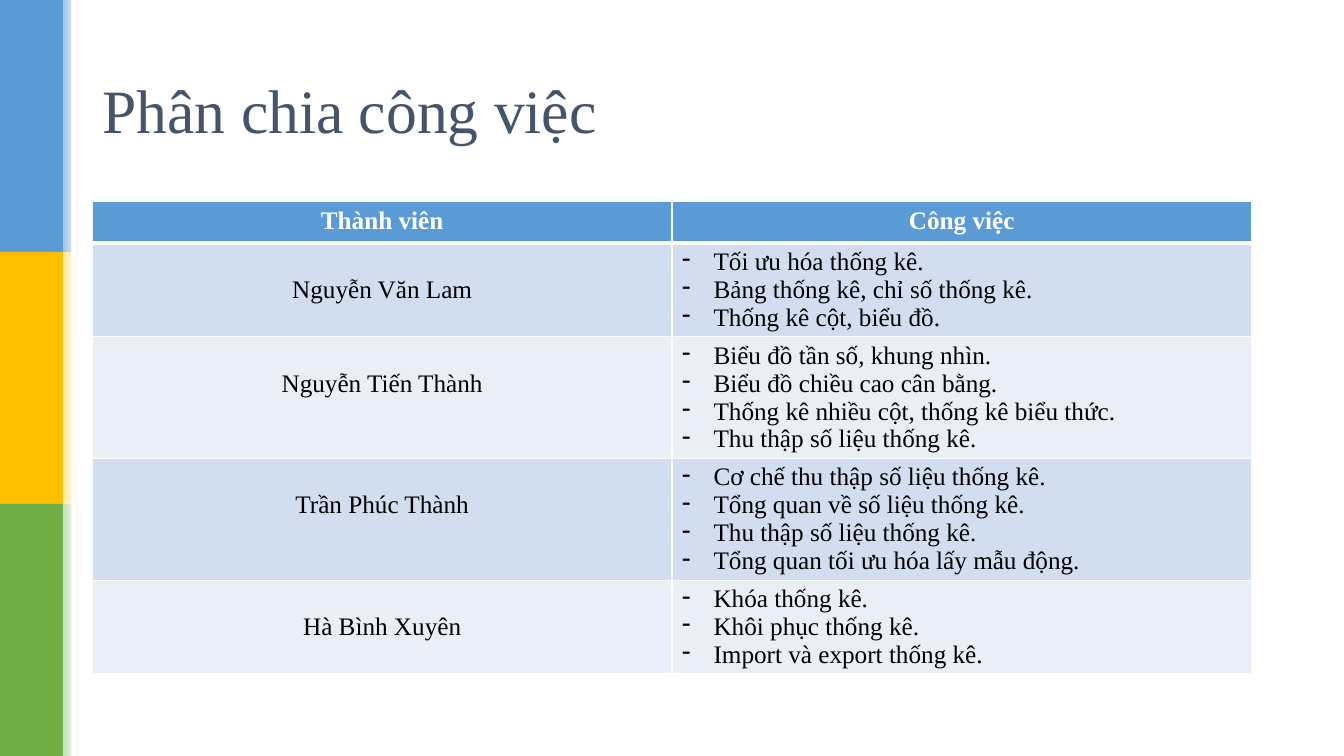
from lxml.etree import SubElement
from pptx import Presentation
from pptx.dml.color import RGBColor
from pptx.enum.shapes import MSO_SHAPE
from pptx.enum.text import MSO_ANCHOR, PP_ALIGN
from pptx.oxml.ns import qn
from pptx.util import Pt

TITLE = "Phân chia công việc"
HEADERS = ["Thành viên", "Công việc"]
MEMBERS = [
    ("Nguyễn Văn Lam", [
        "Tối ưu hóa thống kê.",
        "Bảng thống kê, chỉ số thống kê.",
        "Thống kê cột, biểu đồ.",
    ]),
    ("Nguyễn Tiến Thành", [
        "Biểu đồ tần số, khung nhìn.",
        "Biểu đồ chiều cao cân bằng.",
        "Thống kê nhiều cột, thống kê biểu thức.",
        "Thu thập số liệu thống kê.",
    ]),
    ("Trần Phúc Thành", [
        "Cơ chế thu thập số liệu thống kê.",
        "Tổng quan về số liệu thống kê.",
        "Thu thập số liệu thống kê.",
        "Tổng quan tối ưu hóa lấy mẫu động.",
    ]),
    ("Hà Bình Xuyên", [
        "Khóa thống kê.",
        "Khôi phục thống kê.",
        "Import và export thống kê.",
    ]),
]
COLORS = {
    "white": "FFFFFF", "black": "000000", "title": "44546A",
    "header": "5B9BD5", "odd_row": "D2DEEF", "even_row": "EAEFF7",
}
BANDS = [("5B9BD5", "9DC3E6"), ("FFC000", "FFE699"), ("70AD47", "C5E0B4")]

FONT = "Times New Roman"
TEXT_SIZE = 18
LINE_HEIGHT = 19.9
CELL_MARGIN = 3.6
HEADER_HEIGHT = 29.5
SLIDE_WIDTH, SLIDE_HEIGHT = 960, 540
LEFT, CONTENT_WIDTH = 66, 828
BAND_WIDTH, FADE_WIDTH = 45, 11.5
BAND_HEIGHT = SLIDE_HEIGHT / len(BANDS)


def rgb(value):
    return RGBColor.from_string(value)


def add_bar(slide, left, top, width, height, color, fade=False):
    """Add a borderless rectangle, solid or fading to white on the right."""
    bar = slide.shapes.add_shape(
        MSO_SHAPE.RECTANGLE, Pt(left), Pt(top), Pt(width), Pt(height))
    bar.shadow.inherit = False
    bar.line.fill.background()
    if fade:
        bar.fill.gradient()
        bar.fill.gradient_angle = 0
        for stop, stop_color in zip(bar.fill.gradient_stops, (color, COLORS["white"])):
            stop.color.rgb = rgb(stop_color)
    else:
        bar.fill.solid()
        bar.fill.fore_color.rgb = rgb(color)


def format_text(paragraph, size, color, bold=False, alignment=PP_ALIGN.LEFT):
    paragraph.alignment = alignment
    paragraph.font.name = FONT
    paragraph.font.size = Pt(size)
    paragraph.font.bold = bold
    paragraph.font.color.rgb = rgb(color)


def add_dash(paragraph):
    """Give the paragraph a hanging dash bullet."""
    properties = paragraph._p.get_or_add_pPr()
    properties.set("marL", str(Pt(22.5)))
    properties.set("indent", str(-Pt(22.5)))
    SubElement(properties, qn("a:buFontTx"))
    SubElement(properties, qn("a:buChar"), char="-")


def style_cell(cell, fill, top_border=1, bottom_border=1):
    properties = cell._tc.get_or_add_tcPr()
    for side, width in zip("LRTB", (1, 1, top_border, bottom_border)):
        line = SubElement(properties, qn(f"a:ln{side}"), w=str(Pt(width)))
        SubElement(SubElement(line, qn("a:solidFill")), qn("a:srgbClr"), val=COLORS["white"])
    cell.fill.solid()
    cell.fill.fore_color.rgb = rgb(fill)


def add_duty_table(slide):
    row_heights = [HEADER_HEIGHT] + [
        len(duties) * LINE_HEIGHT + 2 * CELL_MARGIN for _, duties in MEMBERS]
    table = slide.shapes.add_table(
        len(row_heights), len(HEADERS), Pt(LEFT), Pt(144),
        Pt(CONTENT_WIDTH), Pt(sum(row_heights))).table
    for row, height in zip(table.rows, row_heights):
        row.height = Pt(height)

    for column, header in enumerate(HEADERS):
        cell = table.cell(0, column)
        cell.text = header
        style_cell(cell, COLORS["header"], bottom_border=3)
        format_text(cell.text_frame.paragraphs[0], TEXT_SIZE, COLORS["white"],
                    True, PP_ALIGN.CENTER)

    for row, (name, duties) in enumerate(MEMBERS, start=1):
        name_cell, duty_cell = table.cell(row, 0), table.cell(row, 1)
        for cell in (name_cell, duty_cell):
            style_cell(cell, COLORS["odd_row" if row % 2 else "even_row"],
                       top_border=3 if row == 1 else 1)
        name_cell.text = name
        name_cell.margin_top = Pt(CELL_MARGIN + LINE_HEIGHT)
        format_text(name_cell.text_frame.paragraphs[0], TEXT_SIZE, COLORS["black"],
                    alignment=PP_ALIGN.CENTER)
        duty_cell.text = "\n".join(duties)
        for paragraph in duty_cell.text_frame.paragraphs:
            add_dash(paragraph)
            format_text(paragraph, TEXT_SIZE, COLORS["black"])


def main():
    presentation = Presentation()
    presentation.slide_width, presentation.slide_height = Pt(SLIDE_WIDTH), Pt(SLIDE_HEIGHT)
    slide = presentation.slides.add_slide(presentation.slide_layouts[5])

    for index, (color, fade_color) in enumerate(BANDS):
        top = index * BAND_HEIGHT
        add_bar(slide, 0, top, BAND_WIDTH, BAND_HEIGHT, color)
        add_bar(slide, BAND_WIDTH, top, FADE_WIDTH, BAND_HEIGHT, fade_color, fade=True)
    add_bar(slide, 51, 0, 3.6, SLIDE_HEIGHT, COLORS["white"])

    add_duty_table(slide)

    title = slide.shapes.title
    title.left, title.top = Pt(LEFT), Pt(28.8)
    title.width, title.height = Pt(CONTENT_WIDTH), Pt(104.4)
    title.text_frame.text = TITLE
    title.text_frame.vertical_anchor = MSO_ANCHOR.MIDDLE
    heading = title.text_frame.paragraphs[0]
    heading.line_spacing = 0.9
    format_text(heading, 44, COLORS["title"])

    presentation.save("out.pptx")


if __name__ == "__main__":
    main()
